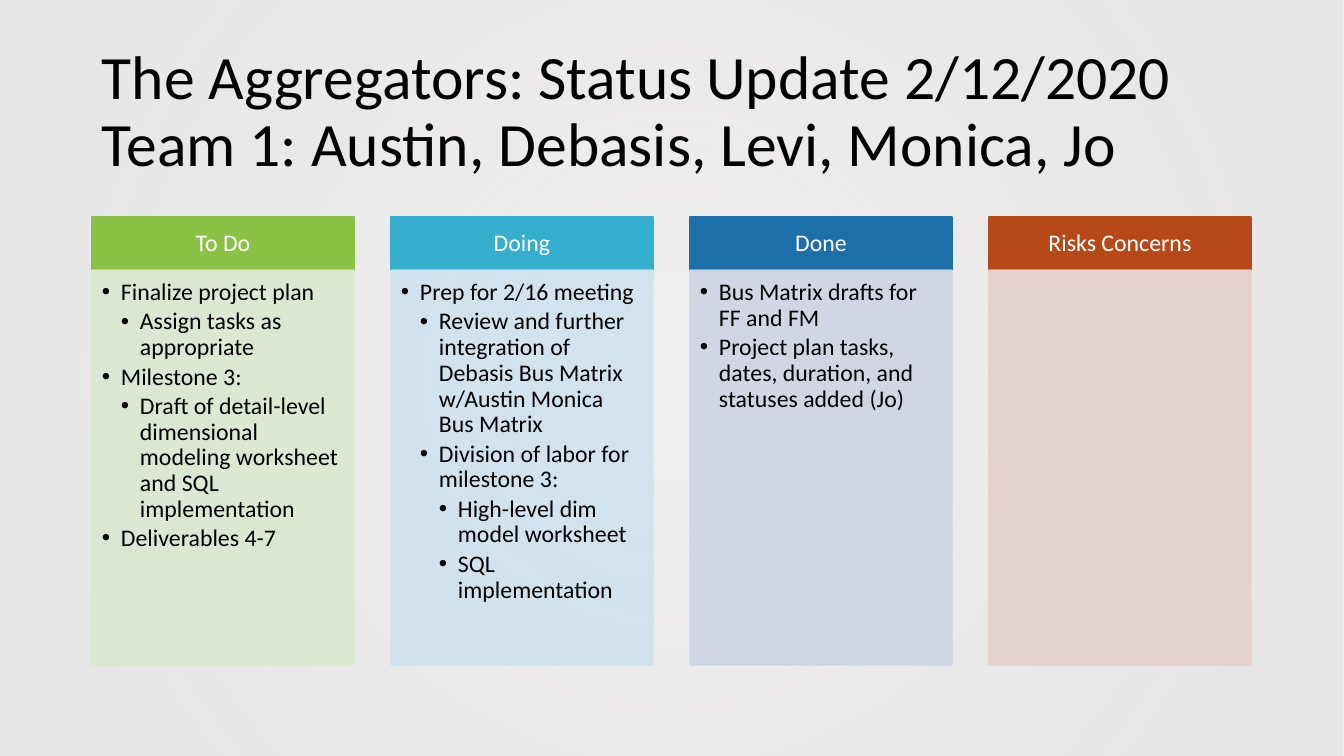
from dataclasses import dataclass

from lxml.etree import SubElement as Sub
from pptx import Presentation
from pptx.dml.color import RGBColor as Rgb
from pptx.enum.shapes import MSO_SHAPE as Kind
from pptx.enum.text import MSO_ANCHOR as Anchor, PP_ALIGN as Align
from pptx.oxml import parse_xml
from pptx.oxml.ns import nsdecls, qn
from pptx.util import Emu, Pt

SCALE = 914400 / 100.8
HUES = {
    "ink": "000000", "white": "FFFFFF", "back": "E7E6E6",
    "green": "8BC145", "mint": "DAE9CF",
    "teal": "36AFCE", "sky": "CEE3ED",
    "blue": "1D6FA9", "mist": "CDD5E2",
    "rust": "B74919", "rose": "E6D0CC",
}
TITLE = ("The Aggregators: Status Update 2/12/2020\v"
         "Team 1: Austin, Debasis, Levi, Monica, Jo")
LEFT, PITCH, WIDTH = 92, 299, 262
HEAD_TOP, HEAD_H, BODY_H = 217, 53, 395
INDENT = 19


def px(num: float) -> Emu:
    return Emu(round(num * SCALE))


def hue(name: str) -> Rgb:
    return Rgb.from_string(HUES[name])


def frame_style(anchor: Anchor, left: int, top: int, right: int, bottom: int) -> dict:
    return {"word_wrap": True, "vertical_anchor": anchor,
            "margin_left": px(left), "margin_top": px(top),
            "margin_right": px(right), "margin_bottom": px(bottom)}


TITLE_BOX = frame_style(Anchor.MIDDLE, 10, 5, 10, 5)
HEAD_BOX = frame_style(Anchor.MIDDLE, 13, 8, 13, 8)
BODY_BOX = frame_style(Anchor.TOP, 10, 10, 13, 15)
LEFT_PARA = {"alignment": Align.LEFT, "line_spacing": 0.9}
HEAD_PARA = {"alignment": Align.CENTER, "line_spacing": 0.9}
BODY_PARA = LEFT_PARA | {"space_after": Pt(2.6)}
TITLE_FONT = {"name": "Calibri", "size": Pt(44)}
CARD_FONT = {"name": "Calibri", "size": Pt(17)}


@dataclass(frozen=True)
class Item:
    text: str
    level: int = 0


@dataclass(frozen=True)
class Lane:
    name: str
    dark: str
    light: str
    items: tuple[Item, ...] = ()


LANES = (
    Lane("To Do", "green", "mint", (
        Item("Finalize project plan"),
        Item("Assign tasks as appropriate", 1),
        Item("Milestone 3:"),
        Item("Draft of detail-level dimensional modeling worksheet "
             "and SQL implementation", 1),
        Item("Deliverables 4-7"))),
    Lane("Doing", "teal", "sky", (
        Item("Prep for 2/16 meeting"),
        Item("Review and further integration of Debasis Bus Matrix "
             "w/Austin Monica Bus Matrix", 1),
        Item("Division of labor for milestone 3:", 1),
        Item("High-level dim model worksheet", 2),
        Item("SQL implementation", 2))),
    Lane("Done", "blue", "mist", (
        Item("Bus Matrix drafts for FF and FM"),
        Item("Project plan tasks, dates, duration, and statuses added (Jo)"))),
    Lane("Risks Concerns", "rust", "rose"),
)


def apply(target, style: dict) -> None:
    for key, value in style.items():
        setattr(target, key, value)


def write(para, text: str, style: dict, font: dict, color: str) -> None:
    para.text = text
    apply(para, style)
    apply(para.font, font)
    para.font.color.rgb = hue(color)


def add_rect(left: int, top: int, width: int, height: int, color: str, alpha: int = 100):
    rect = slide.shapes.add_shape(
        Kind.RECTANGLE, px(left), px(top), px(width), px(height))
    rect.shadow.inherit = False
    rect.fill.solid()
    rect.fill.fore_color.rgb = rect.line.color.rgb = hue(color)
    rect.line.width = Pt(1)
    if alpha < 100:
        for node in rect._element.spPr.iter(qn("a:srgbClr")):
            Sub(node, qn("a:alpha"), val=str(alpha * 1000))
    return rect


def add_bullet(para, level: int) -> None:
    para.level = level
    props = para._p.get_or_add_pPr()
    props.set("marL", str(px(INDENT * (level + 1))))
    props.set("indent", str(-px(INDENT)))
    Sub(props, qn("a:buFont"), typeface="Arial")
    Sub(props, qn("a:buChar"), char="•")


def add_lane(lane: Lane, left: int) -> None:
    head = add_rect(left, HEAD_TOP, WIDTH, HEAD_H, lane.dark).text_frame
    apply(head, HEAD_BOX)
    write(head.paragraphs[0], lane.name, HEAD_PARA, CARD_FONT, "white")
    body = add_rect(left, HEAD_TOP + HEAD_H, WIDTH, BODY_H, lane.light, 90).text_frame
    apply(body, BODY_BOX)
    for num, item in enumerate(lane.items):
        para = body.add_paragraph() if num else body.paragraphs[0]
        write(para, item.text, BODY_PARA, CARD_FONT, "ink")
        add_bullet(para, item.level)


def add_back() -> None:
    rect = add_rect(0, 0, 1344, 756, "back")
    rect.line.fill.background()
    stops = "".join(
        f'<a:gs pos="{pos}000"><a:srgbClr val="{HUES["back"]}">'
        f'<a:alpha val="{alpha}000"/></a:srgbClr></a:gs>'
        for pos, alpha in ((10, 68), (85, 97)))
    grad = parse_xml(
        f'<a:gradFill {nsdecls("a")}><a:gsLst>{stops}</a:gsLst><a:path path="circle">'
        '<a:fillToRect l="50000" t="50000" r="50000" b="50000"/></a:path></a:gradFill>')
    props = rect._element.spPr
    props.replace(props.find(qn("a:solidFill")), grad)


deck = Presentation()
deck.slide_width, deck.slide_height = px(1344), px(756)
slide = deck.slides.add_slide(deck.slide_layouts[6])

# Background
add_back()

# Title
title = slide.shapes.add_textbox(px(92), px(40), px(1159), px(146)).text_frame
apply(title, TITLE_BOX)
write(title.paragraphs[0], TITLE, LEFT_PARA, TITLE_FONT, "ink")

# Status lanes
for col, lane in enumerate(LANES):
    add_lane(lane, LEFT + col * PITCH)

deck.save("out.pptx")
